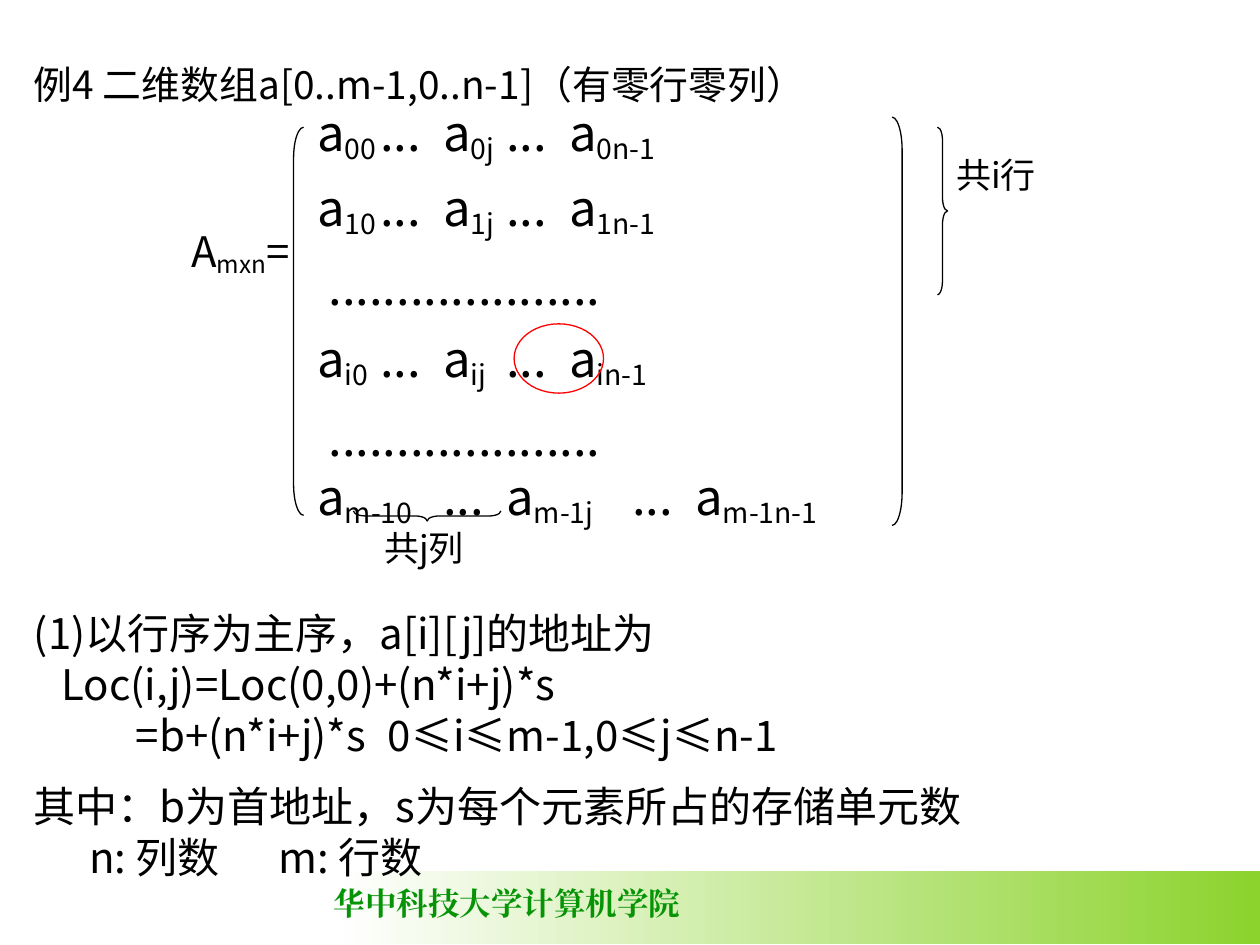
"""Builds the slide on row-major addressing of a two-dimensional array."""
from dataclasses import dataclass

from lxml.etree import SubElement
from pptx import Presentation
from pptx.dml.color import RGBColor
from pptx.enum.shapes import MSO_SHAPE
from pptx.oxml.ns import qn
from pptx.util import Inches, Pt


@dataclass(frozen=True)
class TextStyle:
    size: float
    leading: float
    color: str = "000000"
    bold: bool = False
    font: str = "Noto Sans CJK SC"


@dataclass(frozen=True)
class Theme:
    title: TextStyle = TextStyle(22.2, 26)
    matrix: TextStyle = TextStyle(28, 36)
    body: TextStyle = TextStyle(24, 29)
    label: TextStyle = TextStyle(20, 24)
    footer: TextStyle = TextStyle(18, 21.6, "069406", True, "Times New Roman")
    ink: str = "000000"
    highlight: str = "FF0000"
    band_start: str = "FFFFFF"
    band_end: str = "8CD32D"
    line_width: float = 0.75


@dataclass(frozen=True)
class Box:
    left: float
    top: float
    width: float
    height: float

    def lengths(self) -> tuple:
        return tuple(Inches(v) for v in (self.left, self.top, self.width, self.height))


@dataclass(frozen=True)
class Line:
    """A paragraph whose text marks subscripts between bars."""
    text: str
    indent: float = 0
    tabs: tuple = ()
    before: float = 0


@dataclass(frozen=True)
class TextBlock:
    box: Box
    style: TextStyle
    lines: tuple
    wrap: bool = True
    right_inset: float = 0.1


@dataclass(frozen=True)
class Outline:
    kind: MSO_SHAPE
    box: Box
    adjustments: tuple = ()
    rotation: float = 0
    color: str = Theme.ink


THEME = Theme()


def matrix_line(subscripts: tuple, tabs: tuple, before: float = 0) -> Line:
    """Joins three subscripted elements with dots between them."""
    return Line("\t...\t".join(f"a|{subscript}|" for subscript in subscripts), 0, tabs, before)


WIDE_STOPS = (0.57, 1.07, 1.58, 2.07)
DOTS = Line("." * 20, indent=0.09, before=7)

TEXT_BLOCKS = (
    TextBlock(Box(2.55, 6.97, 2.95, 0.4), THEME.footer, (Line("华中科技大学计算机学院"),), wrap=False),
    TextBlock(Box(0.17, 0.44, 9.58, 0.47), THEME.title,
              (Line("例4 二维数组a[0..m-1,0..n-1]（有零行零列）"),)),
    TextBlock(Box(2.42, 0.76, 4.83, 3.41), THEME.matrix, (
        matrix_line(("00", "0j", "0n-1"), WIDE_STOPS),
        matrix_line(("10", "1j", "1n-1"), WIDE_STOPS, 7),
        DOTS,
        matrix_line(("i0", "ij", "in-1"), (0.51, 1, 1.45, 1.94), 7),
        DOTS,
        matrix_line(("m-10", "m-1j", "m-1n-1"), (0.81, 1.21, 2, 2.42)),
    )),
    TextBlock(Box(1.42, 1.76, 1, 0.93), THEME.body, (Line("A|mxn|="),)),
    TextBlock(Box(0.17, 4.77, 9.75, 2.27), THEME.body, (
        Line("(1)以行序为主序，a[i][j]的地址为"),
        Line("Loc(i,j)=Loc(0,0)+(n*i+j)*s", 0.22),
        Line("=b+(n*i+j)*s\t0≤i≤m-1,0≤j≤n-1", 0.81, (3.32,)),
        Line("其中：b为首地址，s为每个元素所占的存储单元数", before=12),
        Line("n: 列数\tm: 行数", 0.44, (1.87,)),
    )),
    TextBlock(Box(7.49, 1.17, 0.96, 0.44), THEME.label, (Line("共i行"),), right_inset=0.2),
    TextBlock(Box(2.95, 4.13, 0.96, 0.44), THEME.label, (Line("共j列"),), right_inset=0.2),
)

OUTLINES = (
    Outline(MSO_SHAPE.LEFT_BRACKET, Box(2.33, 1.01, 0.08, 3.08), (3.1,)),
    Outline(MSO_SHAPE.RIGHT_BRACKET, Box(7.08, 0.93, 0.08, 3.24), (3.3,)),
    Outline(MSO_SHAPE.RIGHT_BRACE, Box(7.44, 1.01, 0.08, 1.33), (1.35, 0.5)),
    Outline(MSO_SHAPE.RIGHT_BRACE, Box(3.35, 3.51, 0.08, 1.17), (1.2, 0.5), 90),
    Outline(MSO_SHAPE.OVAL, Box(4.08, 2.57, 0.71, 0.55), color=THEME.highlight),
)


def set_all(target, values: dict) -> None:
    """Sets every named attribute on the target."""
    for name, value in values.items():
        setattr(target, name, value)


def draw_band(slide) -> None:
    """Draws the gradient band at the foot of the slide."""
    shape = slide.shapes.add_shape(MSO_SHAPE.RECTANGLE, *Box(2.67, 6.91, 7.33, 0.58).lengths())
    shape.shadow.inherit = False
    shape.line.fill.background()
    shape.fill.gradient()
    shape.fill.gradient_angle = 0
    for stop, position, color in zip(shape.fill.gradient_stops, (0, 1), (THEME.band_start, THEME.band_end)):
        stop.position = position
        stop.color.rgb = RGBColor.from_string(color)


def draw_outline(slide, outline: Outline) -> None:
    """Draws an unfilled preset shape."""
    shape = slide.shapes.add_shape(outline.kind, *outline.box.lengths())
    shape.shadow.inherit = False
    shape.fill.background()
    shape.line.color.rgb = RGBColor.from_string(outline.color)
    shape.line.width = Pt(THEME.line_width)
    shape.rotation = outline.rotation
    for index, value in enumerate(outline.adjustments):
        shape.adjustments[index] = value


def write_line(paragraph, line: Line, style: TextStyle) -> None:
    """Writes one paragraph with its indent, tab stops and subscripts."""
    properties = paragraph._p.get_or_add_pPr()
    properties.set("marL", str(Inches(line.indent)))
    properties.set("indent", "0")
    if line.tabs:
        tab_list = SubElement(properties, qn("a:tabLst"))
        for stop in line.tabs:
            SubElement(tab_list, qn("a:tab"), pos=str(Inches(stop)), algn="l")
    set_all(paragraph, {"line_spacing": Pt(style.leading), "space_before": Pt(line.before)})
    for index, text in enumerate(line.text.split("|")):
        if not text:
            continue
        run = paragraph.add_run()
        run.text = text
        set_all(run.font, {"size": Pt(style.size), "bold": style.bold, "name": style.font})
        run.font.color.rgb = RGBColor.from_string(style.color)
        run_properties = run._r.get_or_add_rPr()
        SubElement(run_properties, qn("a:ea"), typeface=style.font)
        if index % 2:
            run_properties.set("baseline", "-16000")


def draw_text(slide, block: TextBlock) -> None:
    """Draws a text box with all its paragraphs."""
    frame = slide.shapes.add_textbox(*block.box.lengths()).text_frame
    set_all(frame, {"word_wrap": block.wrap, "margin_right": Inches(block.right_inset)})
    for index, line in enumerate(block.lines):
        paragraph = frame.add_paragraph() if index else frame.paragraphs[0]
        write_line(paragraph, line, block.style)


def main() -> None:
    """Builds and saves the presentation."""
    presentation = Presentation()
    set_all(presentation, {"slide_width": Inches(10), "slide_height": Inches(7.5)})
    slide = presentation.slides.add_slide(presentation.slide_layouts[6])
    draw_band(slide)
    for block in TEXT_BLOCKS:
        draw_text(slide, block)
    for outline in OUTLINES:
        draw_outline(slide, outline)
    presentation.save("out.pptx")


if __name__ == "__main__":
    main()
